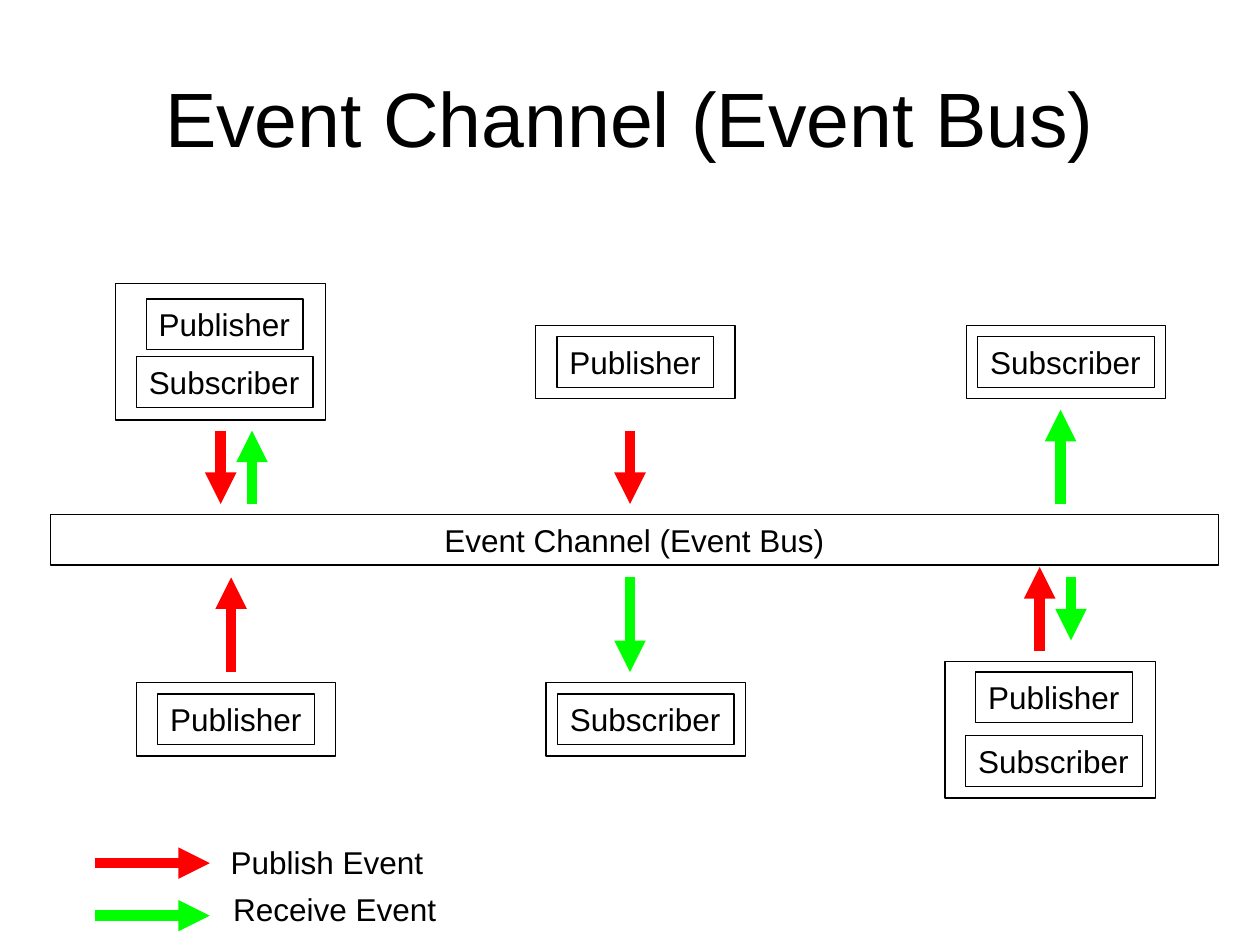
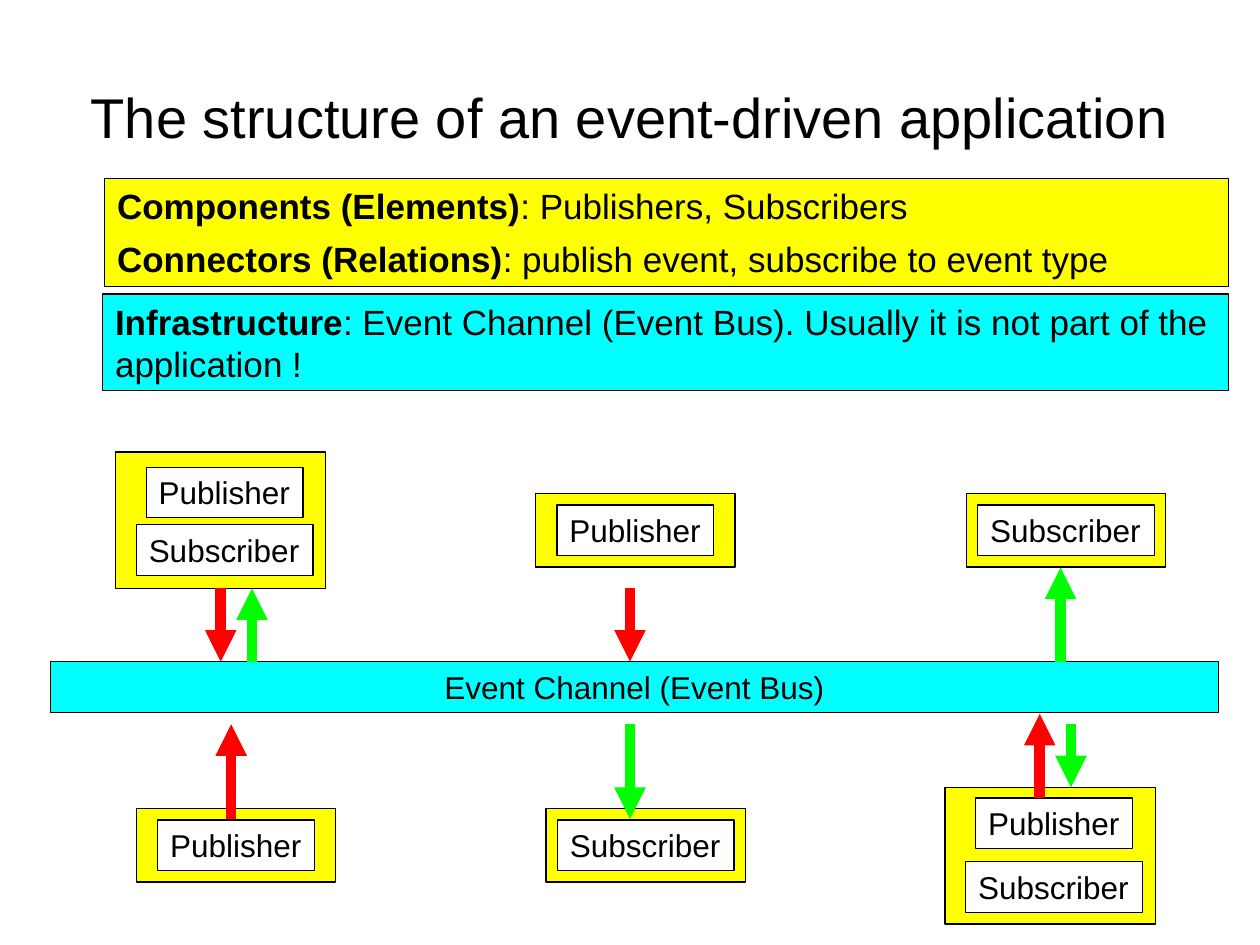
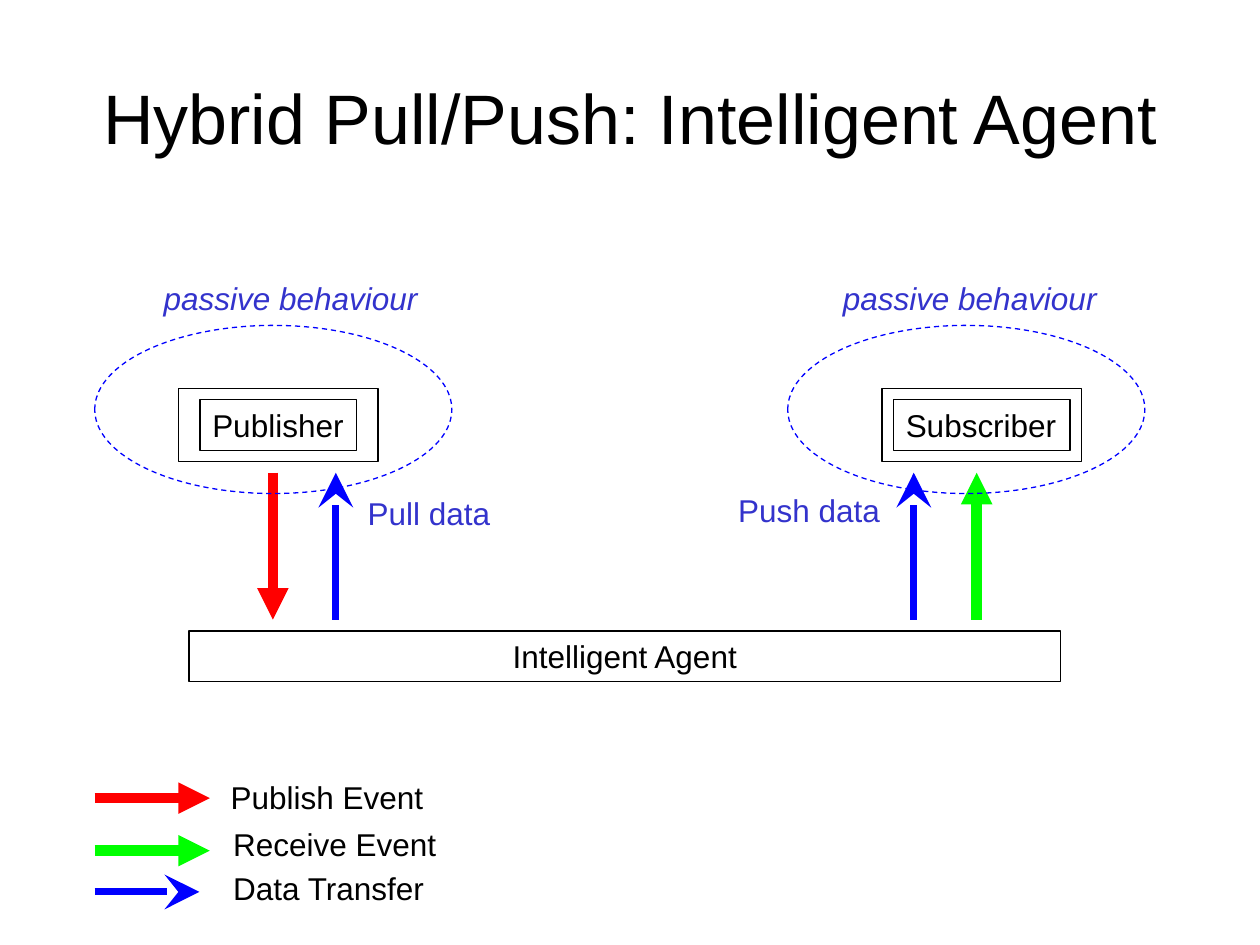
import dataclasses
from typing import NamedTuple, Optional

import lxml.etree
import pptx
import pptx.dml.color
import pptx.enum.dml
import pptx.enum.shapes
import pptx.enum.text
import pptx.oxml.ns
import pptx.presentation
import pptx.shapes.autoshape
import pptx.shapes.connector
import pptx.slide
import pptx.text.text
import pptx.util

Cm = pptx.util.Cm
Pt = pptx.util.Pt
RGBColor = pptx.dml.color.RGBColor
Align = pptx.enum.text.PP_ALIGN
Preset = pptx.enum.shapes.MSO_SHAPE

# Shared look
BLACK = RGBColor(0x00, 0x00, 0x00)
WHITE = RGBColor(0xFF, 0xFF, 0xFF)
RED = RGBColor(0xFF, 0x00, 0x00)
GREEN = RGBColor(0x00, 0xFF, 0x00)
BLUE = RGBColor(0x00, 0x00, 0xFF)
INDIGO = RGBColor(0x33, 0x33, 0xCC)
YELLOW = RGBColor(0xFF, 0xFF, 0x00)
CYAN = RGBColor(0x00, 0xFF, 0xFF)
FONT = "Arial"
LABEL_SIZE = 18
LABEL_HEIGHT = 1.02
JOIN_TOLERANCE = Cm(0.03)


class Box(NamedTuple):
    left: float
    top: float
    width: float
    height: float = LABEL_HEIGHT


class Run(NamedTuple):
    text: str
    bold: bool = False
    italic: bool = False
    color: RGBColor = BLACK
    size: float = LABEL_SIZE


class ArrowStyle(NamedTuple):
    color: RGBColor
    width: float
    head: str
    head_size: str


class Arrow(NamedTuple):
    style: ArrowStyle
    start: tuple[float, float]
    end: tuple[float, float]


class LegendEntry(NamedTuple):
    text: str
    style: ArrowStyle
    arrow_drop: float
    arrow_end: float
    label_left: float
    label_drop: float
    label_width: float


@dataclasses.dataclass(frozen=True)
class Node:
    """A frame holding one or two role labels."""
    left: float
    top: float
    roles: tuple[str, ...]
    label_drops: tuple[float, ...] = (0.23,)

    @property
    def frame(self) -> Box:
        if len(self.roles) > 1:
            return Box(self.left, self.top, 4.24, 2.75)
        return Box(self.left, self.top, 4.02, 1.48)


@dataclasses.dataclass(frozen=True)
class BusScene:
    """Fills of the event bus diagram and how far each band is moved down."""
    frame_fill: Optional[RGBColor] = None
    label_fill: Optional[RGBColor] = None
    bus_fill: Optional[RGBColor] = None
    upper_nodes: float = 0
    upper_arrows: float = 0
    bus: float = 0
    lower_arrows: float = 0
    lower_nodes: float = 0


PUBLISH = ArrowStyle(RED, 6, "triangle", "med")
RECEIVE = ArrowStyle(GREEN, 6, "triangle", "med")
TRANSFER = ArrowStyle(BLUE, 4, "stealth", "lg")

PUBLISHER, SUBSCRIBER = "Publisher", "Subscriber"
ROLE_WIDTHS = {PUBLISHER: 3.16, SUBSCRIBER: 3.56}
PAIR_SHIFT = 0.08

# Event bus diagram
UPPER_NODES = (
    Node(2.33, 5.72, (PUBLISHER, SUBSCRIBER), (0.31, 1.47)),
    Node(10.8, 6.56, (PUBLISHER,)),
    Node(19.48, 6.56, (SUBSCRIBER,)),
)
LOWER_NODES = (
    Node(2.75, 13.76, (PUBLISHER,)),
    Node(11.01, 13.76, (SUBSCRIBER,)),
    Node(19.05, 13.34, (PUBLISHER, SUBSCRIBER), (0.21, 1.49)),
)
UPPER_ARROWS = (
    Arrow(PUBLISH, (4.45, 8.68), (4.45, 10.16)),
    Arrow(RECEIVE, (5.08, 10.16), (5.08, 8.68)),
    Arrow(PUBLISH, (12.7, 8.68), (12.7, 10.16)),
    Arrow(RECEIVE, (21.38, 10.16), (21.38, 8.26)),
)
LOWER_ARROWS = (
    Arrow(PUBLISH, (4.66, 13.55), (4.66, 11.64)),
    Arrow(RECEIVE, (12.7, 11.64), (12.7, 13.55)),
    Arrow(PUBLISH, (20.96, 13.12), (20.96, 11.43)),
    Arrow(RECEIVE, (21.59, 11.64), (21.59, 12.91)),
)
BUS = Box(1.02, 10.37, 23.54)

# Intelligent agent diagram
AGENT_NODES = (Node(3.6, 7.83, (PUBLISHER,)), Node(17.78, 7.83, (SUBSCRIBER,)))
AGENT_TOP, AGENT_BOTTOM = 9.53, 12.49
AGENT_ARROWS = (
    Arrow(PUBLISH, (5.5, AGENT_TOP), (5.5, AGENT_BOTTOM)),
    Arrow(RECEIVE, (19.69, AGENT_BOTTOM), (19.69, AGENT_TOP)),
    Arrow(TRANSFER, (6.77, AGENT_BOTTOM), (6.77, AGENT_TOP)),
    Arrow(TRANSFER, (18.42, AGENT_BOTTOM), (18.42, AGENT_TOP)),
)

# Legend, measured from its first arrow
LEGEND_LEFT = 1.91
LEGEND = (
    LegendEntry("Publish Event", PUBLISH, 0, 4.23, 4.4, -0.54, 4.42),
    LegendEntry("Receive Event", RECEIVE, 1.06, 4.23, 4.45, 0.42, 4.63),
    LegendEntry("Data Transfer", TRANSFER, 1.89, 4.02, 4.45, 1.31, 4.42),
)


def add_run(paragraph: pptx.text.text._Paragraph, run: Run) -> None:
    text_run = paragraph.add_run()
    text_run.text = run.text
    font = text_run.font
    font.name, font.size = FONT, Pt(run.size)
    font.bold, font.italic = run.bold, run.italic
    font.color.rgb = run.color


def add_text(shape, paragraphs: list[list[Run]], align: Align, wrap: bool) -> None:
    frame = shape.text_frame
    frame.word_wrap = wrap
    frame.auto_size = pptx.enum.text.MSO_AUTO_SIZE.SHAPE_TO_FIT_TEXT
    frame.vertical_anchor = pptx.enum.text.MSO_ANCHOR.TOP
    for index, runs in enumerate(paragraphs):
        paragraph = frame.add_paragraph() if index else frame.paragraphs[0]
        paragraph.alignment = align
        if index:
            paragraph.space_before = Pt(6.2)
        for run in runs:
            add_run(paragraph, run)


def draw_shape(slide: pptx.slide.Slide, box: Box, fill: Optional[RGBColor] = None,
               preset: Preset = Preset.RECTANGLE,
               line: RGBColor = BLACK) -> pptx.shapes.autoshape.Shape:
    shape = slide.shapes.add_shape(preset, *map(Cm, box))
    shape.shadow.inherit = False
    if fill is None:
        shape.fill.background()
    else:
        shape.fill.solid()
        shape.fill.fore_color.rgb = fill
    shape.line.color.rgb = line
    shape.line.width = Pt(0.75)
    return shape


def draw_bar(slide: pptx.slide.Slide, box: Box, text: str,
             fill: Optional[RGBColor] = None) -> None:
    add_text(draw_shape(slide, box, fill), [[Run(text)]], Align.CENTER, True)


def draw_caption(slide: pptx.slide.Slide, box: Box, run: Run) -> None:
    add_text(slide.shapes.add_textbox(*map(Cm, box)), [[run]], Align.LEFT, False)


def draw_node(slide: pptx.slide.Slide, node: Node, drop: float = 0,
              frame_fill: Optional[RGBColor] = None,
              label_fill: Optional[RGBColor] = None) -> pptx.shapes.autoshape.Shape:
    box = node.frame._replace(top=node.top + drop)
    frame = draw_shape(slide, box, frame_fill)
    center = box.left + box.width / 2 + (PAIR_SHIFT if len(node.roles) > 1 else 0)
    for role, label_drop in zip(node.roles, node.label_drops):
        width = ROLE_WIDTHS[role]
        label_box = Box(center - width / 2, box.top + label_drop, width)
        label = draw_shape(slide, label_box, label_fill)
        add_text(label, [[Run(role)]], Align.LEFT, False)
    return frame


def draw_arrow(slide: pptx.slide.Slide, arrow: Arrow,
               drop: float = 0) -> pptx.shapes.connector.Connector:
    (start_x, start_y), (end_x, end_y) = arrow.start, arrow.end
    style = arrow.style
    connector = slide.shapes.add_connector(
        pptx.enum.shapes.MSO_CONNECTOR.STRAIGHT,
        Cm(start_x), Cm(start_y + drop), Cm(end_x), Cm(end_y + drop))
    connector.line.color.rgb = style.color
    connector.line.width = Pt(style.width)
    qualify = pptx.oxml.ns.qn
    properties = connector._element.spPr
    outline = properties.find(qualify("a:ln"))
    lxml.etree.SubElement(outline, qualify("a:tailEnd"), type=style.head,
                          w=style.head_size, len=style.head_size)
    lxml.etree.SubElement(properties, qualify("a:effectLst"))
    return connector


def join_start(connector: pptx.shapes.connector.Connector,
               frames: list[pptx.shapes.autoshape.Shape]) -> None:
    """Join an arrow that leaves the middle of a frame's lower side."""
    for frame in frames:
        gap_x = abs(frame.left + frame.width / 2 - connector.begin_x)
        gap_y = abs(frame.top + frame.height - connector.begin_y)
        if max(gap_x, gap_y) <= JOIN_TOLERANCE:
            connector.begin_connect(frame, 2)


def draw_legend(slide: pptx.slide.Slide, top: float,
                entries: tuple[LegendEntry, ...]) -> None:
    for entry in entries:
        level = top + entry.arrow_drop
        draw_arrow(slide, Arrow(entry.style, (LEGEND_LEFT, level),
                                (entry.arrow_end, level)))
        draw_caption(slide, Box(entry.label_left, top + entry.label_drop,
                                entry.label_width), Run(entry.text))


def draw_event_bus(slide: pptx.slide.Slide, scene: BusScene) -> None:
    frames = []
    for nodes, drop in ((UPPER_NODES, scene.upper_nodes),
                        (LOWER_NODES, scene.lower_nodes)):
        for node in nodes:
            frames.append(draw_node(slide, node, drop, scene.frame_fill,
                                    scene.label_fill))
    draw_bar(slide, BUS._replace(top=BUS.top + scene.bus),
             "Event Channel (Event Bus)", scene.bus_fill)
    for arrows, drop in ((UPPER_ARROWS, scene.upper_arrows),
                         (LOWER_ARROWS, scene.lower_arrows)):
        for arrow in arrows:
            join_start(draw_arrow(slide, arrow, drop), frames)


def add_titled_slide(presentation: pptx.presentation.Presentation, text: str,
                     size: float) -> pptx.slide.Slide:
    slide = presentation.slides.add_slide(presentation.slide_layouts[5])
    title = slide.shapes.title
    title.left, title.top = Cm(1.27), Cm(0.76)
    title.width, title.height = Cm(22.86), Cm(3.18)
    title.text_frame.auto_size = pptx.enum.text.MSO_AUTO_SIZE.NONE
    title.text_frame.vertical_anchor = pptx.enum.text.MSO_ANCHOR.MIDDLE
    paragraph = title.text_frame.paragraphs[0]
    paragraph.alignment = Align.CENTER
    add_run(paragraph, Run(text, size=size))
    return slide


def build_channel_slide(presentation: pptx.presentation.Presentation) -> None:
    slide = add_titled_slide(presentation, "Event Channel (Event Bus)", 44)
    draw_event_bus(slide, BusScene())
    draw_legend(slide, 17.4, LEGEND[:2])


def build_structure_slide(presentation: pptx.presentation.Presentation) -> None:
    slide = add_titled_slide(
        presentation, "The structure of an event-driven application", 32)
    draw_event_bus(slide, BusScene(
        YELLOW, WHITE, CYAN, upper_nodes=3.39, upper_arrows=3.18, bus=2.97,
        lower_arrows=2.96, lower_nodes=2.54))
    # Definitions, coloured like the parts they describe
    definitions = (
        (Box(2.11, 3.6, 22.66, 2.18), YELLOW, (
            ("Components (Elements)", ": Publishers, Subscribers"),
            ("Connectors (Relations)", ": publish event, subscribe to event type"))),
        (Box(2.07, 5.93, 22.69, 1.95), CYAN, (
            ("Infrastructure", ": Event Channel (Event Bus). "
             "Usually it is not part of the application !"),)),
    )
    for box, fill, terms in definitions:
        paragraphs = [[Run(term, bold=True, size=20), Run(meaning, size=20)]
                      for term, meaning in terms]
        add_text(draw_shape(slide, box, fill), paragraphs, Align.LEFT, True)


def build_agent_slide(presentation: pptx.presentation.Presentation) -> None:
    slide = add_titled_slide(presentation, "Hybrid Pull/Push: Intelligent Agent", 40)
    for node in AGENT_NODES:
        draw_node(slide, node)
    draw_bar(slide, Box(3.81, 12.72, 17.57), "Intelligent Agent")
    for arrow in AGENT_ARROWS:
        draw_arrow(slide, arrow)
    draw_caption(slide, Box(7.16, 9.83, 3.05), Run("Pull data", color=INDIGO))
    draw_caption(slide, Box(14.63, 9.78, 3.43), Run("Push data", color=INDIGO))
    # Passive sides
    for ellipse_left, caption_left in ((1.91, 3.05), (15.88, 16.74)):
        ellipse = draw_shape(slide, Box(ellipse_left, 6.56, 7.2, 3.39),
                             preset=Preset.OVAL, line=BLUE)
        ellipse.line.dash_style = pptx.enum.dml.MSO_LINE.DASH
        draw_caption(slide, Box(caption_left, 5.51, 5.7),
                     Run("passive behaviour", italic=True, color=INDIGO))
    draw_legend(slide, 16.09, LEGEND)


def main() -> None:
    presentation = pptx.Presentation()
    presentation.slide_width, presentation.slide_height = Cm(25.4), Cm(19.05)
    build_channel_slide(presentation)
    build_structure_slide(presentation)
    build_agent_slide(presentation)
    presentation.save("out.pptx")


if __name__ == "__main__":
    main()
